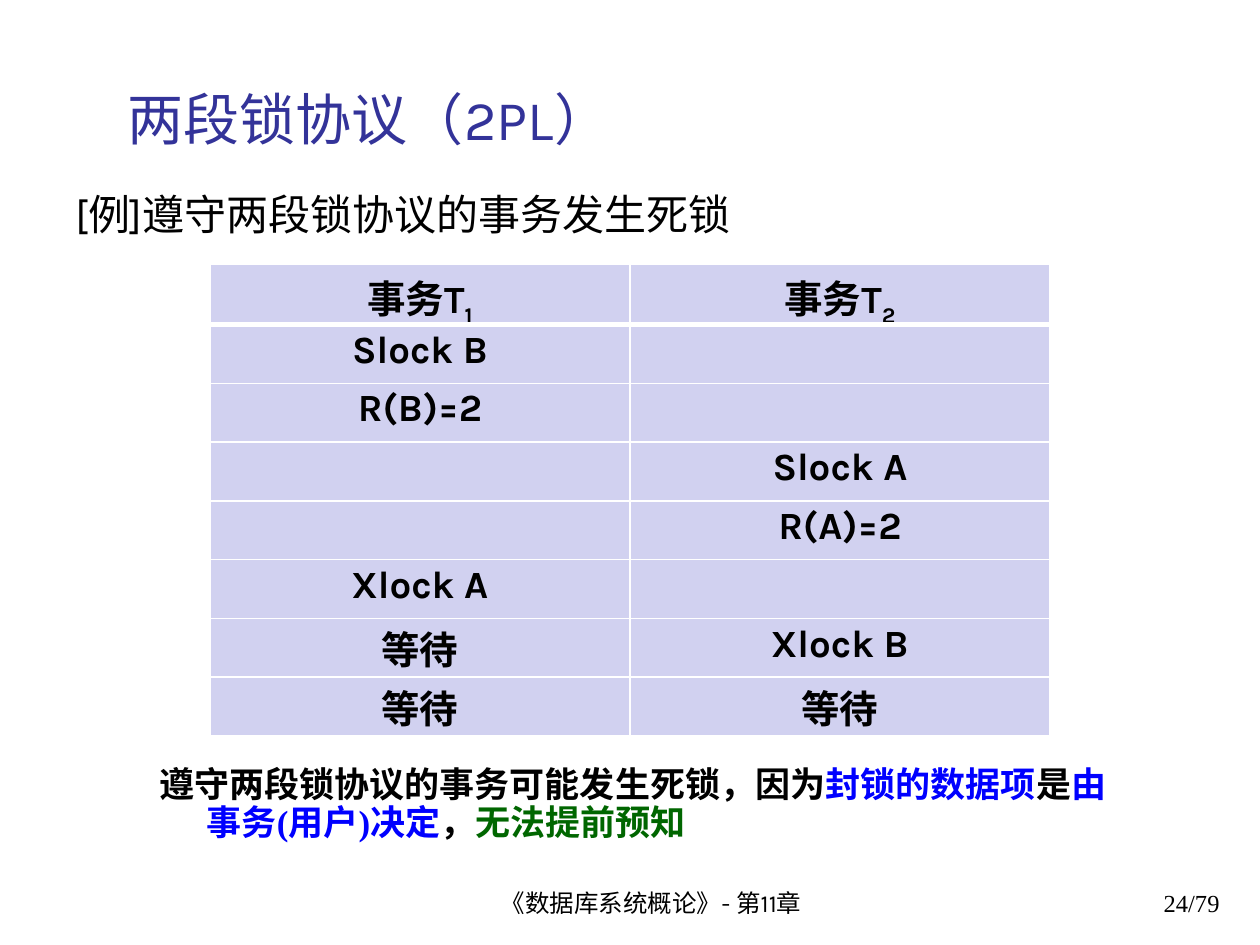
from lxml.etree import SubElement
from pptx import Presentation
from pptx.dml.color import RGBColor
from pptx.enum.text import MSO_ANCHOR as ANCHOR, PP_ALIGN as ALIGN
from pptx.oxml import parse_xml
from pptx.oxml.ns import nsdecls, qn
from pptx.util import Pt

# Content
COLORS = {"title": "333399", "text": "000000", "key": "0000FF",
          "result": "006600", "cell": "D1D1F0", "border": "FFFFFF"}
TITLE = "两段锁协议（2PL）"
EXAMPLE = "[例]遵守两段锁协议的事务发生死锁"
# A run is (text, colour name, baseline in percent)
HEADER = [[("事务T", "text", 0), (n, "text", -25)] for n in "12"]
STEPS = [("Slock B", ""), ("R(B)=2", ""), ("", "Slock A"), ("", "R(A)=2"),
         ("Xlock A", ""), ("等待", "Xlock B"), ("等待", "等待")]
CONCLUSION = [("遵守两段锁协议的事务可能发生死锁，因为", "text", 0),
              ("封锁的数据项", "key", 0), ("是", "text", 0),
              ("由事务(用户)决定", "key", 0), ("，", "text", 0),
              ("无法提前预知", "result", 0)]
FOOTER = "《数据库系统概论》- 第11章"
PAGE = "24/79"
SANS, SERIF = "Karla", "Times New Roman"


def write(tf, text, size, font=SANS, color="text", bold=False,
          align=ALIGN.LEFT, spacing=None, hanging=0):
    """Fill the first paragraph with a string or a list of runs."""
    p = tf.paragraphs[0]
    p.alignment = align
    if spacing:
        p.line_spacing = spacing
    if hanging:
        pPr = p._p.get_or_add_pPr()
        pPr.set("marL", str(Pt(hanging)))
        pPr.set("indent", str(-Pt(hanging)))
    runs = [(text, color, 0)] if isinstance(text, str) else text
    for part, name, baseline in runs:
        r = p.add_run()
        r.text = part
        r.font.size, r.font.name, r.font.bold = Pt(size), font, bold
        r.font.color.rgb = RGBColor.from_string(COLORS[name])
        if baseline:
            r._r.get_or_add_rPr().set("baseline", str(baseline * 1000))


def add_text(box, text, size, anchor=ANCHOR.TOP, **fmt):
    tf = s.shapes.add_textbox(*map(Pt, box)).text_frame
    tf.word_wrap = True
    tf.vertical_anchor = anchor
    write(tf, text, size, **fmt)


def set_borders(cell, widths):
    tcPr = cell._tc.get_or_add_tcPr()
    for i, (side, width) in enumerate(widths.items()):
        ln = parse_xml(f'<a:ln{side} {nsdecls("a")} w="{Pt(width)}"/>')
        fill = SubElement(ln, qn("a:solidFill"))
        SubElement(fill, qn("a:srgbClr"), val=COLORS["border"])
        tcPr.insert(i, ln)


prs = Presentation()
prs.slide_width, prs.slide_height = Pt(720), Pt(540)
s = prs.slides.add_slide(prs.slide_layouts[6])

# Title and example
add_text((66, 30, 638, 60), TITLE, 32, anchor=ANCHOR.BOTTOM, color="title")
add_text((36, 104.4, 648, 46), EXAMPLE, 24, hanging=27)

# Schedule of the two transactions
rows = [HEADER, *STEPS]
table = s.shapes.add_table(len(rows), 2, Pt(120), Pt(151.2),
                           Pt(480), Pt(33.6 * len(rows))).table
table.first_row = table.horz_banding = False
for i, row in enumerate(rows):
    for j, text in enumerate(row):
        cell = table.cell(i, j)
        cell.fill.solid()
        cell.fill.fore_color.rgb = RGBColor.from_string(COLORS["cell"])
        set_borders(cell, {"L": 1, "R": 1, "T": 3 if i == 1 else 1,
                           "B": 3 if i == 0 else 1})
        if text:
            write(cell.text_frame, text, 22, bold=True,
                  align=ALIGN.CENTER, spacing=0.9)

# Conclusion
add_text((84, 434.9, 556, 51), CONCLUSION, 20, font=SERIF, bold=True,
         spacing=0.9, hanging=27)

# Footer and page number
add_text((258, 492, 228, 36), FOOTER, 14, anchor=ANCHOR.BOTTOM,
         align=ALIGN.CENTER)
add_text((554, 492, 150, 36), PAGE, 14, anchor=ANCHOR.BOTTOM, font=SERIF,
         align=ALIGN.RIGHT)

prs.save("out.pptx")
